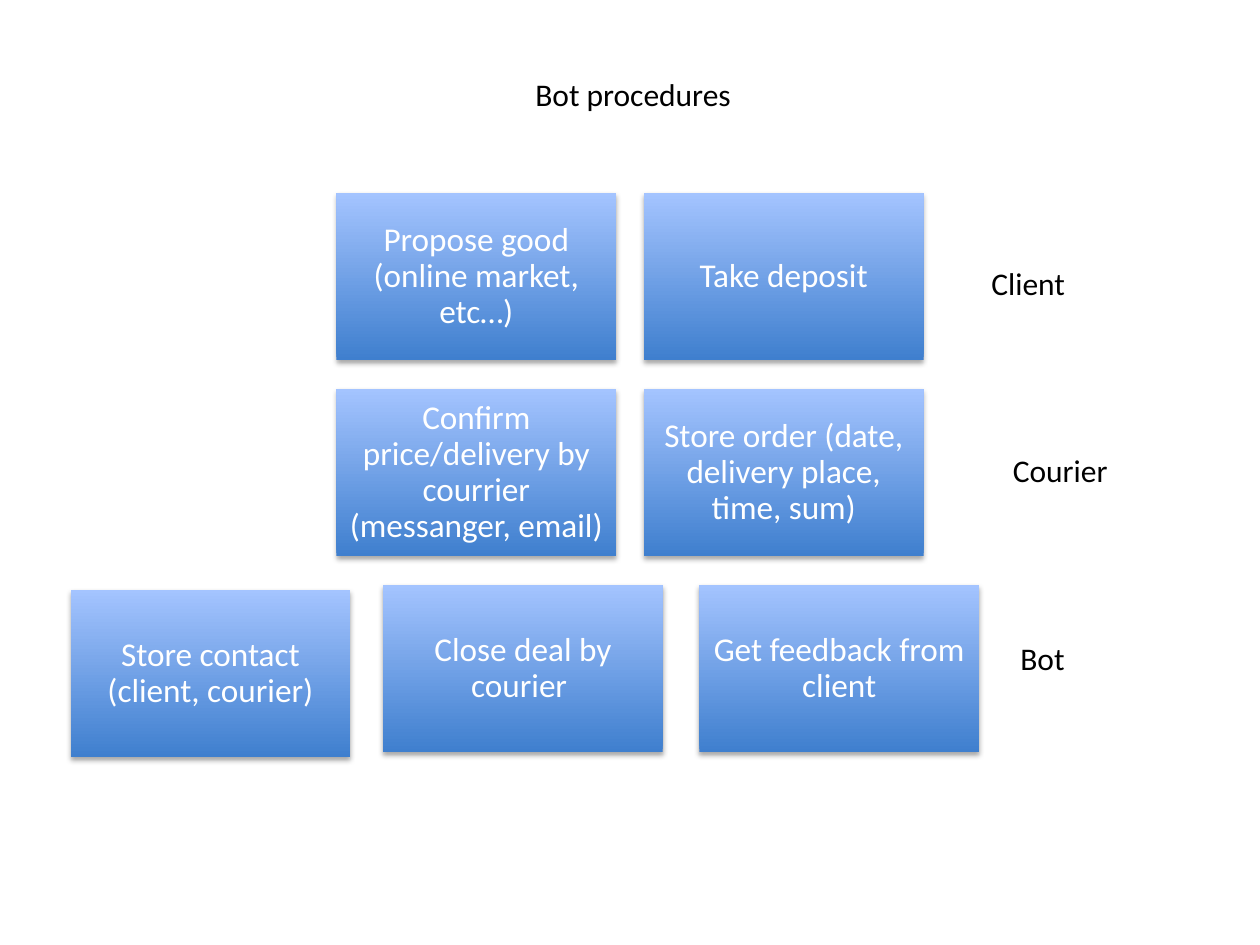
from dataclasses import dataclass

from lxml.etree import SubElement
from pptx import Presentation
from pptx.dml.color import RGBColor
from pptx.enum.shapes import MSO_SHAPE
from pptx.enum.text import MSO_ANCHOR, MSO_AUTO_SIZE, PP_ALIGN
from pptx.oxml.ns import qn
from pptx.util import Inches, Pt


@dataclass(frozen=True)
class Theme:
    font: str = "Calibri"
    card_size: int = 19
    label_size: int = 18
    card_text: str = "FFFFFF"
    label_text: str = "000000"
    card_bottom: str = "3F7FCE"
    card_top: str = "A4C4FF"
    shadow: str = "000000"


@dataclass(frozen=True)
class Card:
    text: str
    left: float
    top: float


@dataclass(frozen=True)
class Label:
    text: str
    left: float
    top: float
    width: float


THEME = Theme()
CARD_WIDTH, CARD_HEIGHT, CARD_INSET = 2.22, 1.33, 0.08
LABEL_HEIGHT = 0.4

# Grid of the upper rows; the bottom row has its own left edges
COLUMNS = [2.67 + i * (CARD_WIDTH + 0.22) for i in range(2)]
ROWS = [1.53 + i * 1.555 for i in range(3)]

CARDS = [
    Card("Propose good (online market, etc…)", COLUMNS[0], ROWS[0]),
    Card("Take deposit", COLUMNS[1], ROWS[0]),
    Card("Confirm price/delivery by courrier (messanger, email)", COLUMNS[0], ROWS[1]),
    Card("Store order (date, delivery place, time, sum)", COLUMNS[1], ROWS[1]),
    Card("Close deal by courier ", 3.04, ROWS[2]),
    Card("Get feedback from client", 5.55, ROWS[2]),
    Card("Store contact (client, courier)", 0.56, 4.68),
]
LABELS = [
    Label("Bot procedures", 4.15, 0.55, 1.78),
    Label("Client", 7.77, 2.05, 0.8),
    Label("Courier", 7.94, 3.53, 0.96),
    Label("Bot", 8, 5.02, 0.56),
]


def write_text(frame, text: str, *, size: int, color: str,
               align=PP_ALIGN.LEFT, line_spacing: float = 1.0) -> None:
    paragraph = frame.paragraphs[0]
    paragraph.alignment = align
    paragraph.line_spacing = line_spacing
    run = paragraph.add_run()
    run.text = text
    run.font.name = THEME.font
    run.font.size = Pt(size)
    run.font.color.rgb = RGBColor.from_string(color)


def add_soft_shadow(shape) -> None:
    shape.shadow.inherit = False
    effects = shape._element.spPr.find(qn("a:effectLst"))
    shadow = SubElement(effects, qn("a:outerShdw"), blurRad=str(Pt(3.1)),
                        dist=str(Pt(1.8)), dir="5400000", rotWithShape="0")
    color = SubElement(shadow, qn("a:srgbClr"), val=THEME.shadow)
    SubElement(color, qn("a:alpha"), val="35000")


def add_card(slide, card: Card) -> None:
    shape = slide.shapes.add_shape(
        MSO_SHAPE.RECTANGLE, Inches(card.left), Inches(card.top),
        Inches(CARD_WIDTH), Inches(CARD_HEIGHT))
    shape.line.fill.background()
    shape.fill.gradient()
    shape.fill.gradient_angle = 90
    for stop, color in zip(shape.fill.gradient_stops, (THEME.card_bottom, THEME.card_top)):
        stop.color.rgb = RGBColor.from_string(color)
    add_soft_shadow(shape)

    frame = shape.text_frame
    frame.word_wrap = True
    frame.vertical_anchor = MSO_ANCHOR.MIDDLE
    frame.margin_left = frame.margin_right = Inches(CARD_INSET)
    frame.margin_top = frame.margin_bottom = Inches(CARD_INSET)
    write_text(frame, card.text, size=THEME.card_size, color=THEME.card_text,
               align=PP_ALIGN.CENTER, line_spacing=0.9)


def add_label(slide, label: Label) -> None:
    box = slide.shapes.add_textbox(Inches(label.left), Inches(label.top),
                                   Inches(label.width), Inches(LABEL_HEIGHT))
    box.text_frame.word_wrap = False
    box.text_frame.auto_size = MSO_AUTO_SIZE.SHAPE_TO_FIT_TEXT
    write_text(box.text_frame, label.text, size=THEME.label_size, color=THEME.label_text)


def main() -> None:
    deck = Presentation()
    deck.slide_width, deck.slide_height = Inches(10), Inches(7.5)
    slide = deck.slides.add_slide(deck.slide_layouts[6])

    # Procedure steps
    for card in CARDS:
        add_card(slide, card)

    # Title and row captions
    for label in LABELS:
        add_label(slide, label)

    deck.save("out.pptx")


main()
